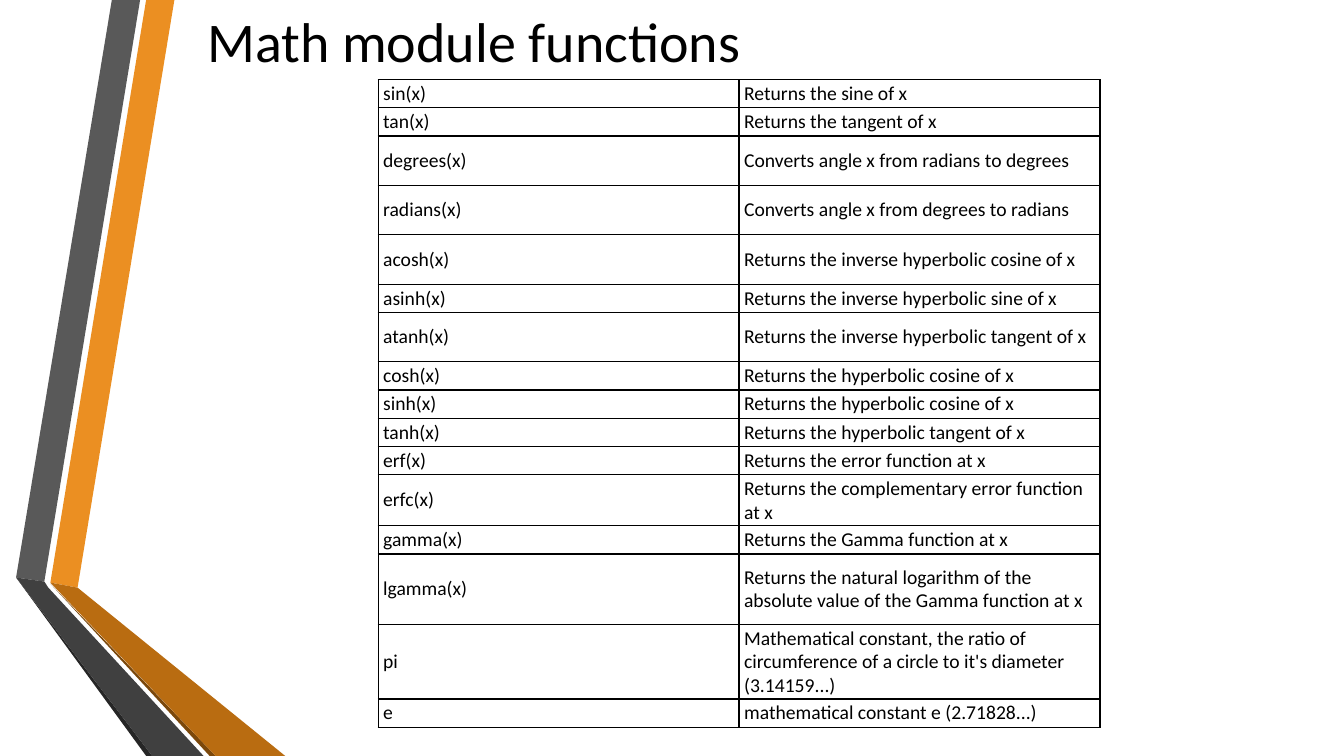
from lxml.etree import SubElement
from pptx import Presentation
from pptx.dml.color import RGBColor as RGB
from pptx.enum.text import MSO_ANCHOR as Anchor, PP_ALIGN as Align
from pptx.oxml.ns import qn
from pptx.util import Inches, Pt

BLACK = RGB(0x00, 0x00, 0x00)
ORANGE = RGB(0xEB, 0x8F, 0x22)
DARK_ORANGE = RGB(0xB9, 0x6C, 0x11)
BROWN = RGB(0x7B, 0x48, 0x0B)
GREY = RGB(0x59, 0x59, 0x59)
DARK_GREY = RGB(0x40, 0x40, 0x40)
CHARCOAL = RGB(0x26, 0x26, 0x26)
FONT = "Calibri"

RIBBONS = [
    (ORANGE, [(0.34, 5.78), (0.61, 5.83), (1.57, 0), (1.29, 0)]),
    (GREY, [(1.23, 0), (0.95, 0), (0, 5.73), (0.28, 5.77)]),
    (CHARCOAL, [(0, 5.73), (1.29, 7.5), (1.35, 7.5)]),
    (BROWN, [(0.34, 5.79), (1.92, 7.5), (1.98, 7.5)]),
    (DARK_ORANGE, [(0.34, 5.78), (1.98, 7.5), (2.67, 7.5), (0.61, 5.83)]),
    (DARK_GREY, [(1.86, 7.5), (0.32, 5.83), (0.28, 5.77), (0, 5.73), (1.35, 7.5)]),
]

SHORT, MEDIUM, TALL = 0.28, 0.49, 0.7
FUNCTIONS = [
    ("sin(x)", "Returns the sine of x", SHORT),
    ("tan(x)", "Returns the tangent of x", SHORT),
    ("degrees(x)", "Converts angle x from radians to degrees", MEDIUM),
    ("radians(x)", "Converts angle x from degrees to radians", MEDIUM),
    ("acosh(x)", "Returns the inverse hyperbolic cosine of x", MEDIUM),
    ("asinh(x)", "Returns the inverse hyperbolic sine of x", SHORT),
    ("atanh(x)", "Returns the inverse hyperbolic tangent of x", MEDIUM),
    ("cosh(x)", "Returns the hyperbolic cosine of x", SHORT),
    ("sinh(x)", "Returns the hyperbolic cosine of x", SHORT),
    ("tanh(x)", "Returns the hyperbolic tangent of x", SHORT),
    ("erf(x)", "Returns the error function at x", SHORT),
    ("erfc(x)", "Returns the complementary error function at x", MEDIUM),
    ("gamma(x)", "Returns the Gamma function at x", SHORT),
    ("lgamma(x)", "Returns the natural logarithm of the absolute value of the "
     "Gamma function at x", TALL),
    ("pi", "Mathematical constant, the ratio of circumference of a circle to "
     "it's diameter (3.14159...)", TALL),
    ("e", "mathematical constant e (2.71828...)", SHORT),
]


def add_run(p, text, size):
    """Add one run in the slide's font."""
    r = p.add_run()
    r.text = text
    r.font.name, r.font.size = FONT, Pt(size)
    r.font.color.rgb = BLACK


def add_ribbons(s, left, top):
    """Draw the folded ribbons from the given corner."""
    for color, points in RIBBONS:
        corners = [(Inches(left + x), Inches(top + y)) for x, y in points]
        builder = s.shapes.build_freeform(*corners[0])
        builder.add_line_segments(corners[1:], close=True)
        sp = builder.convert_to_shape()
        sp.shadow.inherit = False
        sp.fill.solid()
        sp.fill.fore_color.rgb = color
        sp.line.fill.background()


def add_title(s, left, top, width, height):
    """Write the centred title in its box."""
    sp = s.shapes.add_textbox(*map(Inches, (left, top, width, height)))
    tf = sp.text_frame
    tf.word_wrap = True
    tf.vertical_anchor = Anchor.MIDDLE
    p = tf.paragraphs[0]
    p.alignment = Align.CENTER
    add_run(p, "Math module functions", 40)


def add_borders(cell):
    """Give a cell a thin black line on every side."""
    tc_pr = cell._tc.get_or_add_tcPr()
    for side in ("lnL", "lnR", "lnT", "lnB"):
        line = SubElement(tc_pr, qn(f"a:{side}"), w=str(Pt(1)))
        fill = SubElement(line, qn("a:solidFill"))
        SubElement(fill, qn("a:srgbClr"), val=str(BLACK))


def fill_cell(cell, text):
    """Write and style one table cell."""
    cell.margin_left = cell.margin_right = Inches(0.05)
    cell.margin_top = cell.margin_bottom = Inches(0.02)
    cell.vertical_anchor = Anchor.MIDDLE
    add_borders(cell)
    cell.fill.background()
    add_run(cell.text_frame.paragraphs[0], text, 14)


def add_function_table(s, left, top, width):
    """Build the two-column table of functions."""
    height = sum(row[2] for row in FUNCTIONS)
    box = map(Inches, (left, top, width, height))
    table = s.shapes.add_table(len(FUNCTIONS), 2, *box).table
    table.first_row = table.horz_banding = False
    for row, (name, meaning, row_height) in zip(table.rows, FUNCTIONS):
        row.height = Inches(row_height)
        for cell, text in zip(row.cells, (name, meaning)):
            fill_cell(cell, text)


def main():
    """Build and save the slide."""
    prs = Presentation()
    prs.slide_width, prs.slide_height = Inches(13.33), Inches(7.5)
    s = prs.slides.add_slide(prs.slide_layouts[6])
    add_ribbons(s, 0.16, 0)
    add_title(s, 0, 0, 9.4, 0.79)
    add_function_table(s, 3.75, 0.79, 7.16)
    prs.save("out.pptx")


if __name__ == "__main__":
    main()
